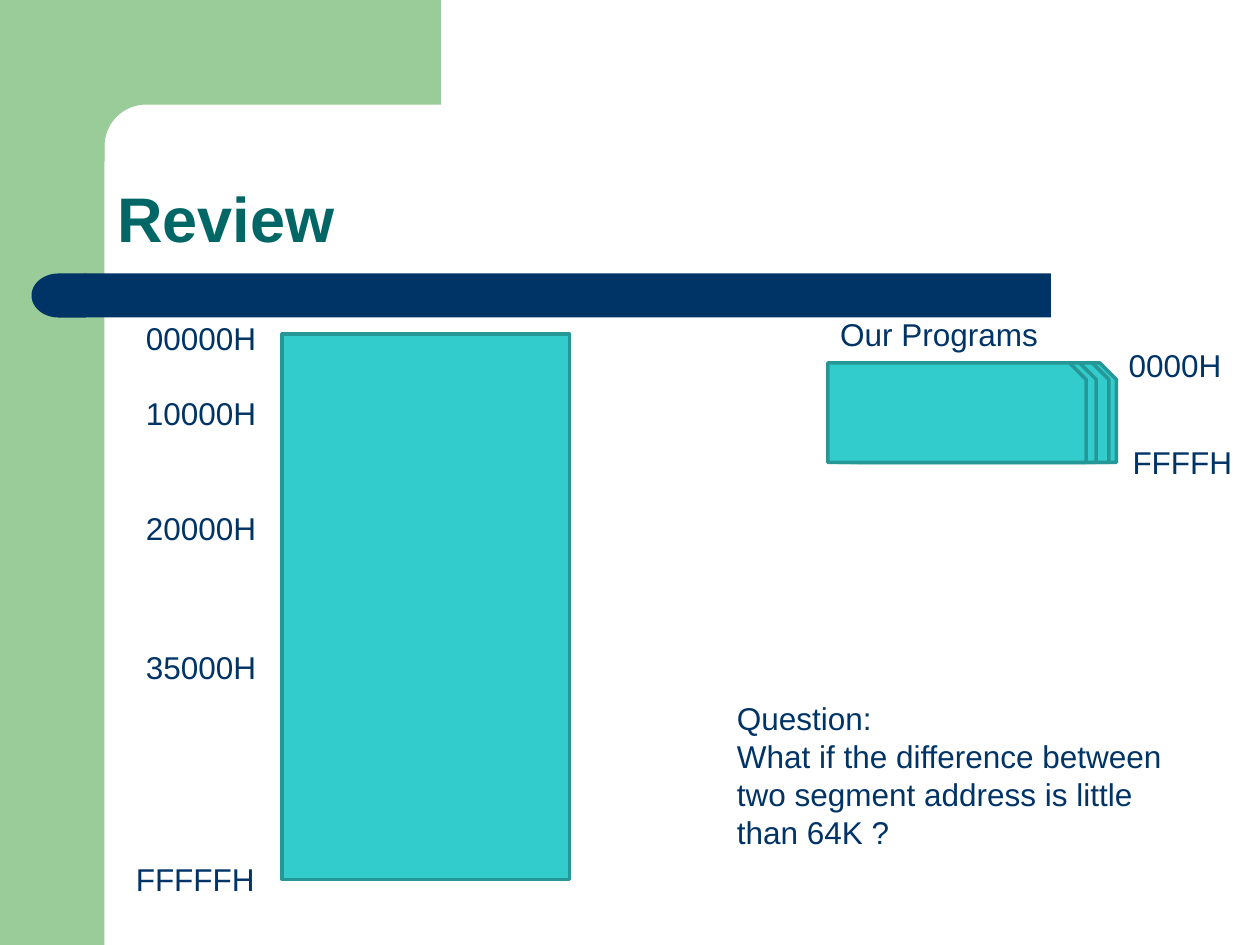
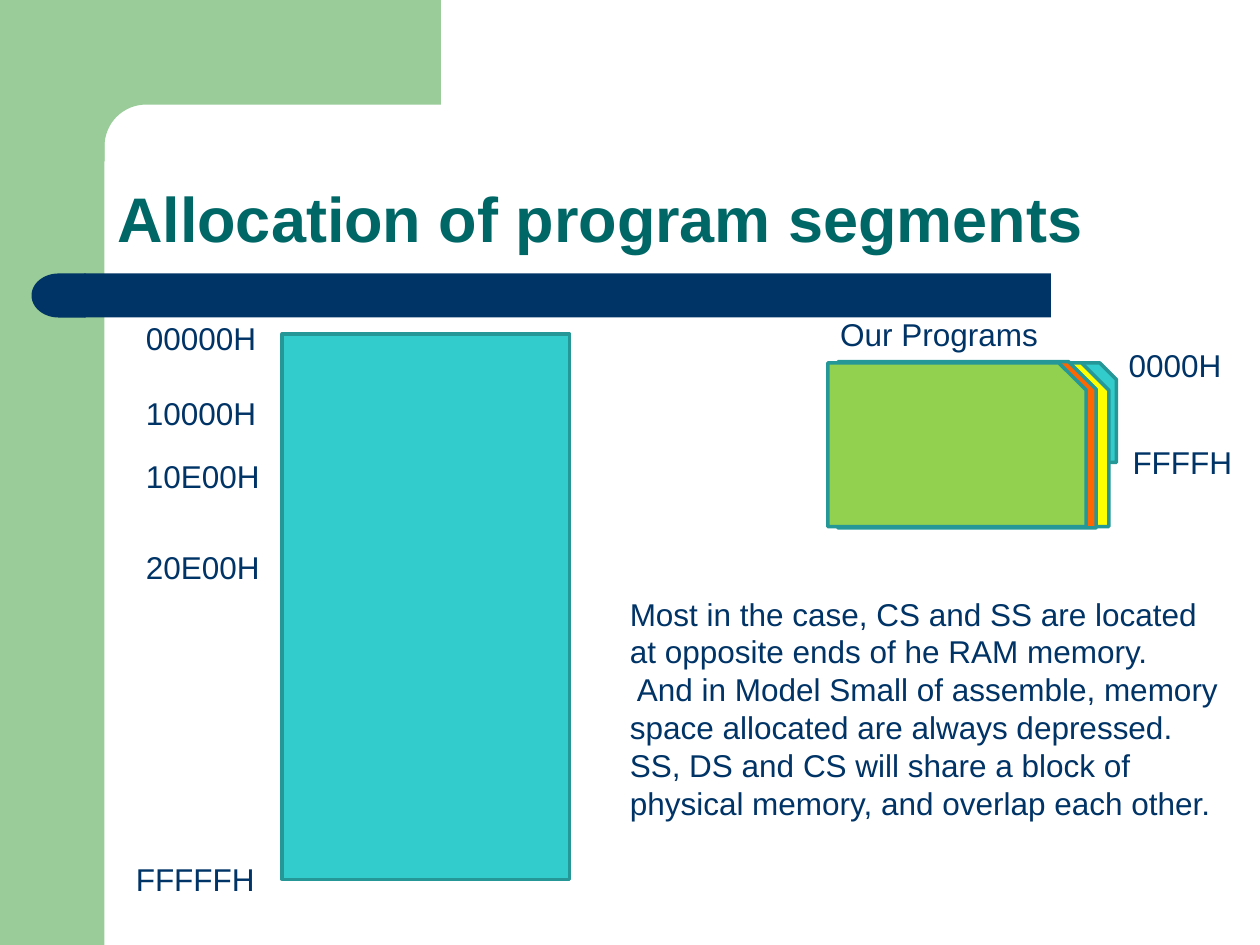
from dataclasses import dataclass
from math import cos, pi, sin

from pptx import Presentation
from pptx.dml.color import RGBColor
from pptx.enum.shapes import MSO_SHAPE
from pptx.enum.text import MSO_ANCHOR, MSO_AUTO_SIZE, PP_ALIGN
from pptx.util import Inches, Pt


@dataclass(frozen=True)
class Theme:
    font: str = "Arial"
    title_size: int = 36
    body_size: int = 18
    line_width: int = 2
    title: str = "006666"
    navy: str = "003366"
    green: str = "99CC99"
    teal: str = "33CCCC"
    outline: str = "269797"
    yellow: str = "FFFF00"
    orange: str = "FF6600"
    lime: str = "92D050"


class Deck:
    COLS, ROWS = 100, 75

    def __init__(self, theme):
        self.theme = theme
        self.prs = Presentation()
        self.prs.slide_width, self.prs.slide_height = Inches(10), Inches(7.5)
        self.s = None

    def x(self, cols):
        return round(self.prs.slide_width * cols / self.COLS)

    def y(self, rows):
        return round(self.prs.slide_height * rows / self.ROWS)

    def box(self, col, row, cols, rows):
        return self.x(col), self.y(row), self.x(cols), self.y(rows)

    def paint(self, sp, fill, line=None):
        sp.shadow.inherit = False
        sp.fill.solid()
        sp.fill.fore_color.rgb = RGBColor.from_string(fill)
        if line:
            sp.line.color.rgb = RGBColor.from_string(line)
            sp.line.width = Pt(self.theme.line_width)
        else:
            sp.line.fill.background()

    def shape(self, kind, col, row, cols, rows, fill, line=None):
        sp = self.s.shapes.add_shape(kind, *self.box(col, row, cols, rows))
        self.paint(sp, fill, line)
        return sp

    def style(self, tf, size, color, bold=False):
        for p in tf.paragraphs:
            p.alignment = PP_ALIGN.LEFT
            for r in p.runs:
                r.font.name = self.theme.font
                r.font.size = Pt(size)
                r.font.bold = bold
                r.font.color.rgb = RGBColor.from_string(color)

    def text(self, text, col, row, cols, rows=4, wrap=False):
        tf = self.s.shapes.add_textbox(*self.box(col, row, cols, rows)).text_frame
        tf.word_wrap = wrap
        tf.auto_size = MSO_AUTO_SIZE.SHAPE_TO_FIT_TEXT
        tf.text = text
        self.style(tf, self.theme.body_size, self.theme.navy)

    def corner(self):
        side, radius, steps = 8.3, 3.3, 16
        center = side + radius
        angles = [pi / 2 * i / steps for i in range(steps + 1)]
        arc = [(center - radius * sin(a), center - radius * cos(a)) for a in angles]
        outline = [(35, 0), (35, side), *arc, (side, 12.8), (5, 12.8), (5, 0)]
        points = [(self.x(col), self.y(row)) for col, row in outline]
        builder = self.s.shapes.build_freeform(*points[0], scale=1.0)
        builder.add_line_segments(points[1:], close=True)
        self.paint(builder.convert_to_shape(), self.theme.green)

    def slide(self, title):
        t = self.theme
        self.s = self.prs.slides.add_slide(self.prs.slide_layouts[5])
        self.shape(MSO_SHAPE.RECTANGLE, 0, 0, 8.3, 75, t.green)
        self.corner()
        self.shape(MSO_SHAPE.RECTANGLE, 6.7, 21.7, 76.7, 3.5, t.navy)
        self.shape(MSO_SHAPE.FLOWCHART_DELAY, 2.5, 21.7, 4.3, 3.5, t.navy).rotation = 180
        sp = self.s.shapes.title
        sp.left, sp.top, sp.width, sp.height = self.box(8.3, 8.3, 86.7, 12.5)
        tf = sp.text_frame
        tf.text = title
        tf.auto_size = MSO_AUTO_SIZE.NONE
        tf.vertical_anchor = MSO_ANCHOR.BOTTOM
        tf.paragraphs[0].line_spacing = 0.9
        self.style(tf, t.title_size, t.title, bold=True)

    def memory(self, addresses):
        self.shape(MSO_SHAPE.RECTANGLE, 22.4, 26.5, 22.8, 43.3, self.theme.teal, self.theme.outline)
        for address, row in [("00000H", 24.8), ("10000H", 30.8), *addresses]:
            self.text(address, 10.6, row, 11)
        self.text("FFFFFH", 9.8, 67.8, 12.6)

    def programs(self, segments):
        for col, (fill, row, rows) in zip((68.1, 67.5, 66.5, 65.7), segments):
            self.shape(MSO_SHAPE.SNIP_1_RECTANGLE, col, row, 20.5, rows, fill, self.theme.outline)
        self.text("Our Programs", 65.7, 24.5, 18.9)
        self.text("0000H", 88.6, 27, 9.4)
        self.text("FFFFH", 88.9, 34.7, 10)


def main():
    theme = Theme()
    deck = Deck(theme)
    segment = (theme.teal, 28.8, 7.9)

    deck.slide("Review")
    deck.memory([("20000H", 39.9), ("35000H", 50.9)])
    deck.programs([segment] * 4)
    deck.text(
        "Question:\n"
        "What if the difference between two segment address is little than 64K ?",
        57.5, 55, 38.6, 13.1, wrap=True,
    )

    deck.slide("Allocation of program segments")
    deck.memory([("10E00H", 35.8), ("20E00H", 43)])
    deck.programs([
        segment,
        (theme.yellow, 28.8, 13),
        (theme.orange, 28.7, 13.2),
        (theme.lime, 28.8, 13),
    ])
    deck.text(
        "Most in the case, CS and SS are located at opposite ends of he RAM memory.\n"
        " And in Model Small of assemble, memory space allocated are always depressed. "
        "SS, DS and CS will share a block of physical memory, and overlap each other.",
        49, 46.7, 48.8, 19.2, wrap=True,
    )

    deck.prs.save("out.pptx")


if __name__ == "__main__":
    main()
